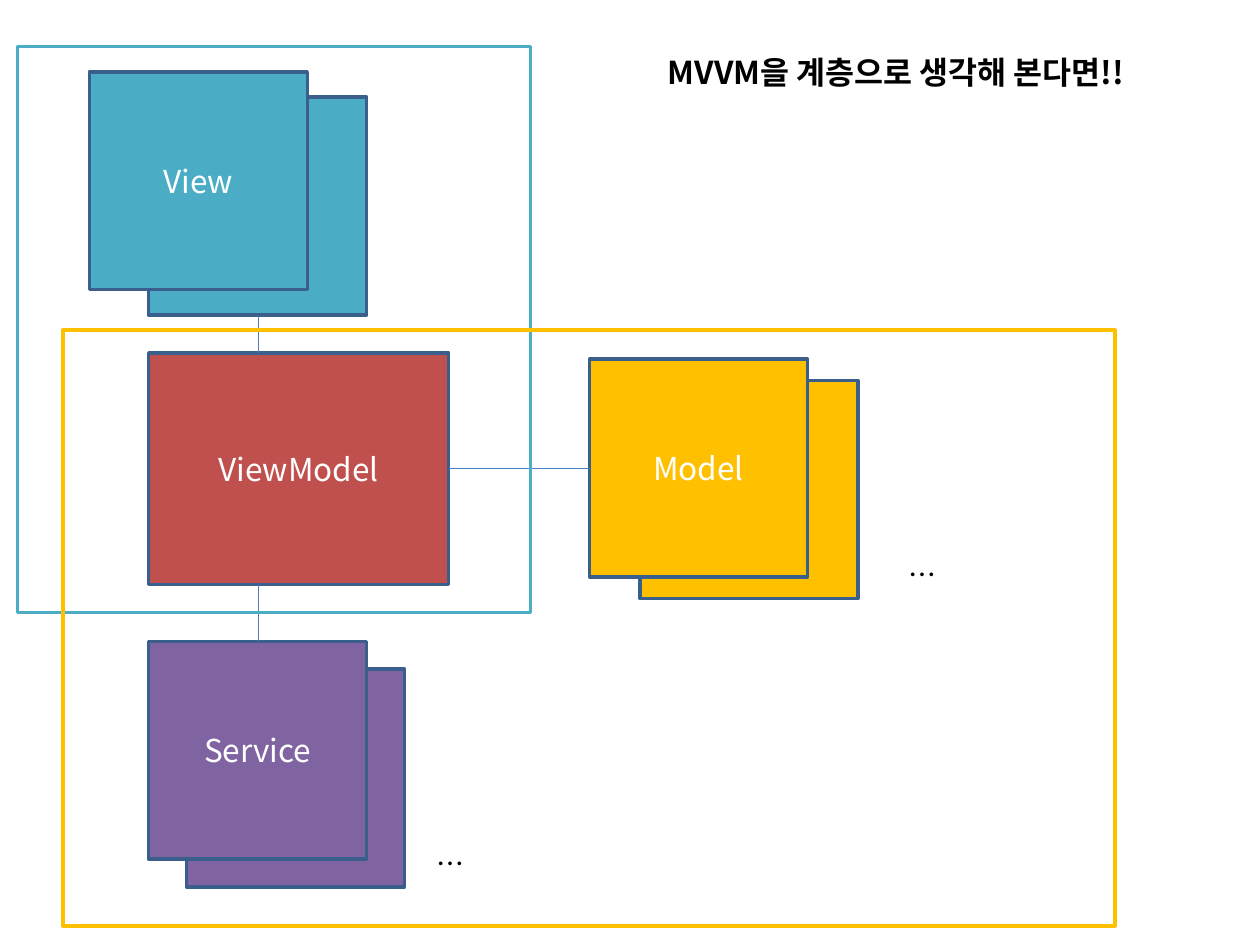
"""Build the MVVM layer diagram slide."""
from lxml import etree
from pptx import Presentation
from pptx.dml.color import RGBColor
from pptx.enum.shapes import MSO_CONNECTOR, MSO_SHAPE
from pptx.enum.text import MSO_ANCHOR, MSO_AUTO_SIZE, PP_ALIGN
from pptx.oxml.ns import qn
from pptx.util import Inches, Pt

FONT = "Noto Sans CJK KR"
COLORS = {
    "view": "4BACC6", "viewmodel": "C0504D", "model": "FFC000", "service": "8064A2",
    "border": "3A5F8C", "link": "4B7EBC", "white": "FFFFFF", "black": "000000",
}
TITLE = "MVVM을 계층으로 생각해 본다면!!"
TITLE_BOX = (4.99, 0.37, 4.24, 0.4)
CARD = 1.73
VIEWMODEL_BOX = (1.18, 2.8, 2.38, 1.84)
STACKS = [
    ("Model", "model", (5.08, 3.02), (4.68, 2.85)),
    ("Service", "service", (1.48, 5.31), (1.18, 5.09)),
    ("View", "view", (1.18, 0.77), (0.71, 0.57)),
]
LINKS = [
    ((2.05, 2.51), (2.05, 2.8)),
    ((2.05, 4.64), (2.05, 5.09)),
    ((3.56, 3.72), (4.68, 3.72)),
]
ELLIPSES = [(7.11, 4.38), (3.37, 6.67)]
FRAMES = [
    ("view", (0.14, 0.37, 4.07, 4.49), 2),
    ("model", (0.5, 2.62, 8.35, 4.73), 2.25),
]


def rgb(name):
    return RGBColor.from_string(COLORS[name])


def write(shape, text, size, color, align, anchor, bold=False):
    frame = shape.text_frame
    frame.vertical_anchor = anchor
    paragraph = frame.paragraphs[0]
    paragraph.alignment = align
    run = paragraph.add_run()
    run.text = text
    font = run.font
    font.size, font.bold, font.name = Pt(size), bold, FONT
    font.color.rgb = rgb(color)
    run_props = run._r.get_or_add_rPr()
    east_asian = etree.Element(qn("a:ea"), typeface=FONT)
    run_props.find(qn("a:latin")).addnext(east_asian)


def fit_to_text(shape):
    shape.text_frame.word_wrap = False
    shape.text_frame.auto_size = MSO_AUTO_SIZE.SHAPE_TO_FIT_TEXT


def add_box(box, line_color, line_width, fill=None):
    shape = slide.shapes.add_shape(MSO_SHAPE.RECTANGLE, *map(Inches, box))
    shape.shadow.inherit = False
    if fill:
        shape.fill.solid()
        shape.fill.fore_color.rgb = rgb(fill)
    else:
        shape.fill.background()
    shape.line.color.rgb = rgb(line_color)
    shape.line.width = Pt(line_width)
    return shape


def add_card(label, color, box):
    card = add_box(box, "border", 2, color)
    write(card, label, 18, "white", PP_ALIGN.CENTER, MSO_ANCHOR.MIDDLE)


def add_link(start, end):
    link = slide.shapes.add_connector(
        MSO_CONNECTOR.STRAIGHT, *map(Inches, start + end))
    link.line.color.rgb = rgb("link")
    link.line.width = Pt(0.75)
    etree.SubElement(link._element.spPr, qn("a:effectLst"))


prs = Presentation()
prs.slide_width, prs.slide_height = Inches(10), Inches(7.5)
slide = prs.slides.add_slide(prs.slide_layouts[5])

title = slide.shapes.title
title.left, title.top, title.width, title.height = map(Inches, TITLE_BOX)
write(title, TITLE, 18, "black", PP_ALIGN.CENTER, MSO_ANCHOR.TOP, bold=True)
fit_to_text(title)

add_card("ViewModel", "viewmodel", VIEWMODEL_BOX)
for label, color, *corners in STACKS:
    for corner in corners:
        add_card(label, color, corner + (CARD, CARD))

for start, end in LINKS:
    add_link(start, end)

for left, top in ELLIPSES:
    dots = slide.shapes.add_textbox(*map(Inches, (left, top, 0.37, 0.37)))
    write(dots, "…", 16, "black", PP_ALIGN.LEFT, MSO_ANCHOR.TOP)
    fit_to_text(dots)

for color, box, width in FRAMES:
    add_box(box, color, width)

prs.save("out.pptx")
